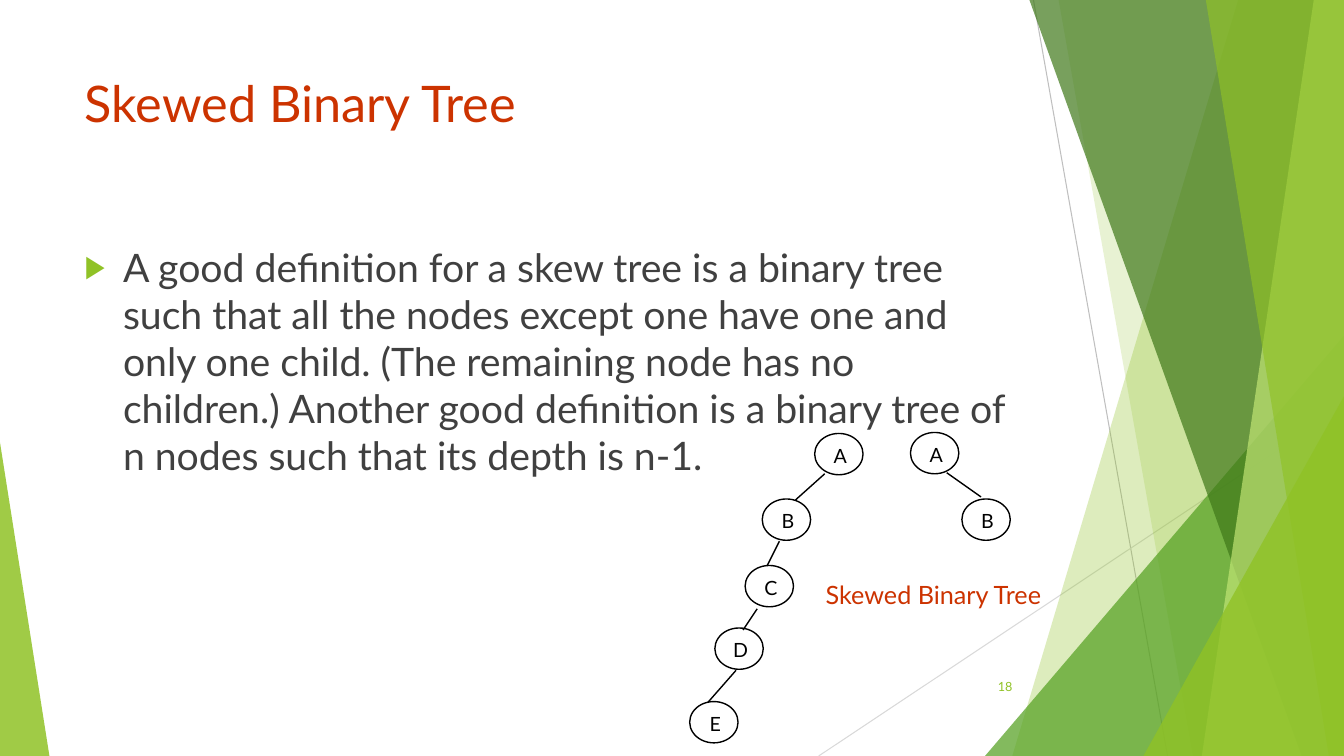
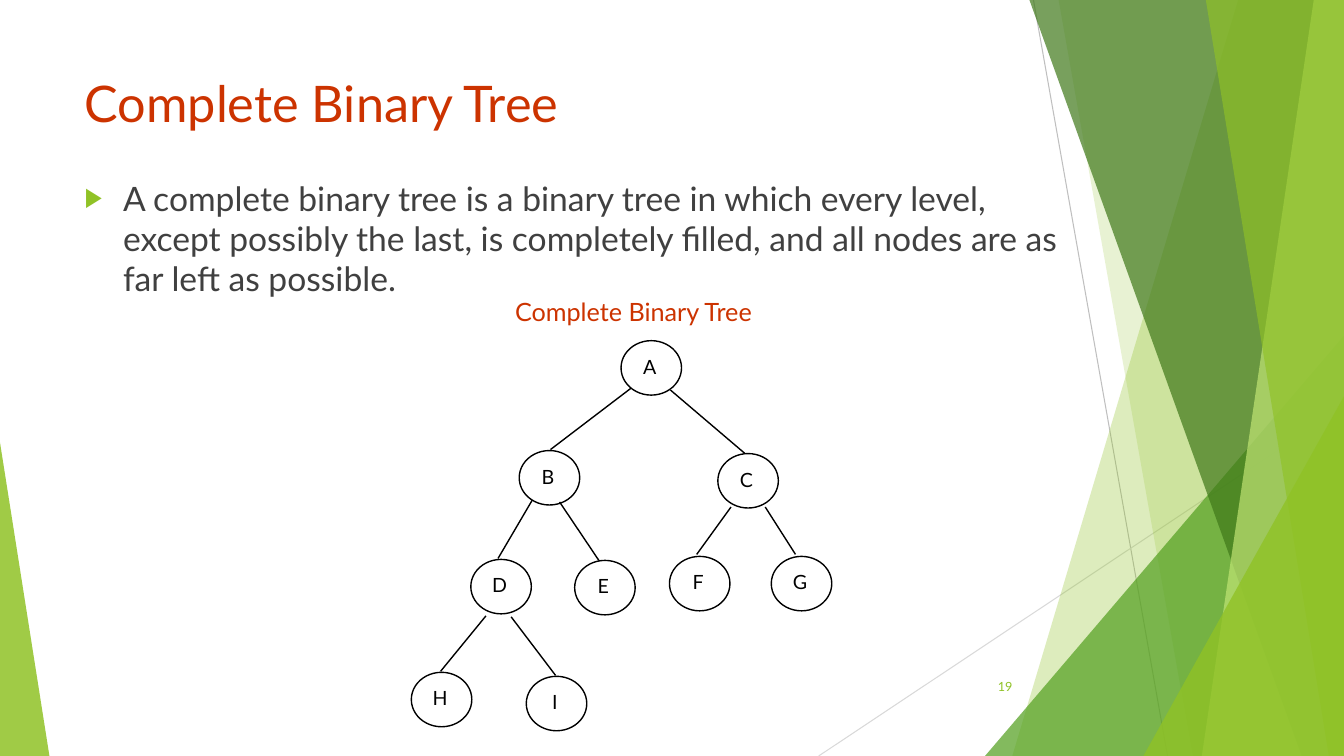
from lxml.etree import SubElement
from pptx import Presentation
from pptx.dml.color import RGBColor
from pptx.enum.shapes import MSO_CONNECTOR, MSO_SHAPE
from pptx.enum.text import MSO_ANCHOR, MSO_AUTO_SIZE, PP_ALIGN
from pptx.oxml.ns import qn
from pptx.util import Inches, Pt

WIDTH, HEIGHT = 13.33, 7.5
FONT = "Lato"
RED = RGBColor(0xCC, 0x33, 0x00)
GRAY = RGBColor(0x40, 0x40, 0x40)
BLACK = RGBColor(0, 0, 0)
LIME = RGBColor(0x90, 0xC2, 0x26)
GREEN = RGBColor(0x54, 0xA0, 0x21)
DARK_GREEN = RGBColor(0x3F, 0x78, 0x19)
PALE_LIME = RGBColor(0xC0, 0xE4, 0x74)
SILVER = RGBColor(0xBF, 0xBF, 0xBF)
PALE_GRAY = RGBColor(0xD9, 0xD9, 0xD9)

TITLE_BOX = (0.74, 0.67, 9.4, 1.44)
NUMBER_BOX = (9.39, 6.61, 0.75, 0.4)
NUDGE = 0.03

# Thin lines: start, end, colour
RAYS = [
    ((10.25, 0), (11.58, HEIGHT), SILVER),
    ((WIDTH, 4.03), (8.12, HEIGHT), PALE_GRAY),
]
# Bands reach the right edge: (top x, bottom x), colour, opacity in percent
# Triangles stand on the bottom edge: (left, top, width), apex, colour, opacity
BACKDROP = [
    ("band", (12.28, 10.04), LIME, 30),
    ("band", (10.5, 11.83), LIME, 20),
    ("triangle", (9.77, 3.33, 3.56), 1, GREEN, 72),
    ("band", (10.21, 12.91), DARK_GREEN, 70),
    ("band", (13.03, 11.92), PALE_LIME, 70),
    ("band", (11.96, 13.18), LIME, 65),
    ("triangle", (11.34, 3.93, 1.99), 1, LIME, 80),
    ("triangle", (0, 4.39, 0.49), 0, LIME, 85),
]

# Nodes: letter, left, top. Edges: start x, y, end x, y.
# Letter insets: left, top, right, bottom.
SLIDES = [
    {
        "number": "18",
        "title": "Skewed Binary Tree",
        "body": "A good definition for a skew tree is a binary tree such that "
                "all the nodes except one have one and only one child. (The "
                "remaining node has no children.) Another good definition is "
                "a binary tree of n nodes such that its depth is n-1.",
        "body_box": (0.74, 2.36, 9.4, 4.24),
        "body_size": 28,
        "caption_box": (8.09, 5.7, 2.41, 0.4),
        "node_size": (0.48, 0.41),
        "letter_insets": (NUDGE, NUDGE, 0, 0),
        "nodes": [
            ("A", 8.08, 4.3), ("B", 7.56, 4.95), ("C", 7.39, 5.61),
            ("D", 7.09, 6.23), ("E", 6.84, 6.96),
            ("A", 9.03, 4.29), ("B", 9.54, 4.95),
        ],
        "edges": [
            (8.18, 4.7, 7.89, 4.96), (7.73, 5.37, 7.61, 5.61),
            (7.51, 6.04, 7.37, 6.25), (7.3, 6.65, 7.02, 6.97),
            (9.39, 4.69, 9.73, 4.93),
        ],
    },
    {
        "number": "19",
        "title": "Complete Binary Tree",
        "body": "A complete binary tree is a binary tree in which every level, "
                "except possibly the last, is completely filled, and all nodes "
                "are as far left as possible.",
        "body_box": (0.74, 1.71, 10.12, 4.9),
        "body_size": 24,
        "caption_box": (5.01, 2.89, 3.24, 0.46),
        "node_size": (0.6, 0.54),
        "letter_insets": (0, 0, NUDGE, NUDGE),
        "nodes": [
            ("A", 6.16, 3.38), ("B", 5.15, 4.47), ("C", 7.12, 4.5),
            ("D", 4.67, 5.55), ("E", 5.7, 5.56), ("F", 6.64, 5.52),
            ("G", 7.65, 5.52), ("H", 4.08, 6.67), ("I", 5.22, 6.71),
        ],
        "edges": [
            (6.26, 3.85, 5.46, 4.46), (6.65, 3.87, 7.39, 4.5),
            (5.28, 4.96, 4.94, 5.54), (5.55, 4.98, 5.94, 5.56),
            (7.25, 5.03, 6.91, 5.5), (7.59, 5.03, 7.89, 5.5),
            (4.82, 6.11, 4.37, 6.66), (5.07, 6.12, 5.51, 6.7),
        ],
    },
]


def inches(values):
    return [Inches(value) for value in values]


def place(shape, box):
    shape.left, shape.top, shape.width, shape.height = inches(box)


def write(paragraph, text, size, color):
    run = paragraph.add_run()
    run.text = text
    run.font.name, run.font.size = FONT, Pt(size)
    run.font.color.rgb = color


def draw_line(shapes, start, end, color, width):
    line = shapes.add_connector(MSO_CONNECTOR.STRAIGHT, *inches(start), *inches(end))
    line.line.color.rgb = color
    line.line.width = Pt(width)
    SubElement(line.element.spPr, qn("a:effectLst"))
    return line


def draw_band(shapes, top_x, bottom_x):
    outline = shapes.build_freeform(Inches(top_x), 0)
    corners = [(WIDTH, 0), (WIDTH, HEIGHT), (bottom_x, HEIGHT)]
    outline.add_line_segments([inches(corner) for corner in corners])
    return outline.convert_to_shape()


def draw_triangle(shapes, left, top, width, apex):
    triangle = shapes.add_shape(
        MSO_SHAPE.ISOSCELES_TRIANGLE, *inches((left, top, width, HEIGHT - top)))
    triangle.adjustments[0] = apex
    return triangle


def tint(shape, color, opacity):
    shape.shadow.inherit = False
    shape.line.fill.background()
    shape.fill.solid()
    shape.fill.fore_color.rgb = color
    srgb = shape.element.spPr.find(qn("a:solidFill")).find(qn("a:srgbClr"))
    SubElement(srgb, qn("a:alpha"), val=str(opacity * 1000))


def draw_backdrop(slide, layout):
    """Draw the shared artwork and move it to the layout, behind the text."""
    shapes = slide.shapes
    parts = [draw_line(shapes, *ray, 0.75) for ray in RAYS]
    for kind, place_at, *rest, color, opacity in BACKDROP:
        if kind == "band":
            part = draw_band(shapes, *place_at)
        else:
            part = draw_triangle(shapes, *place_at, *rest)
        tint(part, color, opacity)
        parts.append(part)
    for index, part in enumerate(parts):
        part.element.xpath(".//p:cNvPr")[0].set("id", str(100 + index))
        layout.shapes.element.insert(2 + index, part.element)


def style_layout(layout):
    title, body = list(layout.placeholders)[:2]
    place(title, TITLE_BOX)
    for placeholder in (title, body):
        frame = placeholder.text_frame
        frame.vertical_anchor = MSO_ANCHOR.TOP
        frame.auto_size = MSO_AUTO_SIZE.NONE


def add_bullet(paragraph):
    props = paragraph._p.get_or_add_pPr()
    props.set("marL", str(Inches(0.38)))
    props.set("indent", str(-Inches(0.38)))
    SubElement(SubElement(props, qn("a:buClr")), qn("a:srgbClr"), val=str(LIME))
    SubElement(props, qn("a:buSzPct"), val="80000")
    SubElement(props, qn("a:buChar"), char="▶")


def add_label(slide, box, text, size, color):
    label = slide.shapes.add_textbox(*inches(box))
    label.text_frame.word_wrap = True
    write(label.text_frame.paragraphs[0], text, size, color)
    return label.text_frame


def add_node(slide, letter, left, top, size, insets):
    node = slide.shapes.add_shape(MSO_SHAPE.OVAL, *inches((left, top, *size)))
    node.shadow.inherit = False
    node.fill.background()
    node.line.color.rgb = BLACK
    node.line.width = Pt(1)
    frame = node.text_frame
    frame.word_wrap = False
    frame.vertical_anchor = MSO_ANCHOR.MIDDLE
    (frame.margin_left, frame.margin_top,
     frame.margin_right, frame.margin_bottom) = inches(insets)
    frame.paragraphs[0].alignment = PP_ALIGN.CENTER
    write(frame.paragraphs[0], letter, 14, BLACK)


def fill_slide(slide, content):
    title, body = slide.placeholders
    heading = title.text_frame.paragraphs[0]
    heading.alignment = PP_ALIGN.LEFT
    write(heading, content["title"], 36, RED)

    place(body, content["body_box"])
    definition = body.text_frame.paragraphs[0]
    add_bullet(definition)
    definition.space_before = Pt(0)
    write(definition, content["body"], content["body_size"], GRAY)

    number = add_label(slide, NUMBER_BOX, content["number"], 9, LIME)
    number.vertical_anchor = MSO_ANCHOR.MIDDLE
    number.paragraphs[0].alignment = PP_ALIGN.RIGHT

    for x1, y1, x2, y2 in content["edges"]:
        draw_line(slide.shapes, (x1, y1), (x2, y2), BLACK, 1)
    for node in content["nodes"]:
        add_node(slide, *node, content["node_size"], content["letter_insets"])
    add_label(slide, content["caption_box"], content["title"], 18, RED)


def main():
    deck = Presentation()
    deck.slide_width, deck.slide_height = inches((WIDTH, HEIGHT))
    layout = deck.slide_layouts[1]
    style_layout(layout)
    slides = [deck.slides.add_slide(layout) for _ in SLIDES]
    draw_backdrop(slides[0], layout)
    for slide, content in zip(slides, SLIDES):
        fill_slide(slide, content)
    deck.save("out.pptx")


if __name__ == "__main__":
    main()
